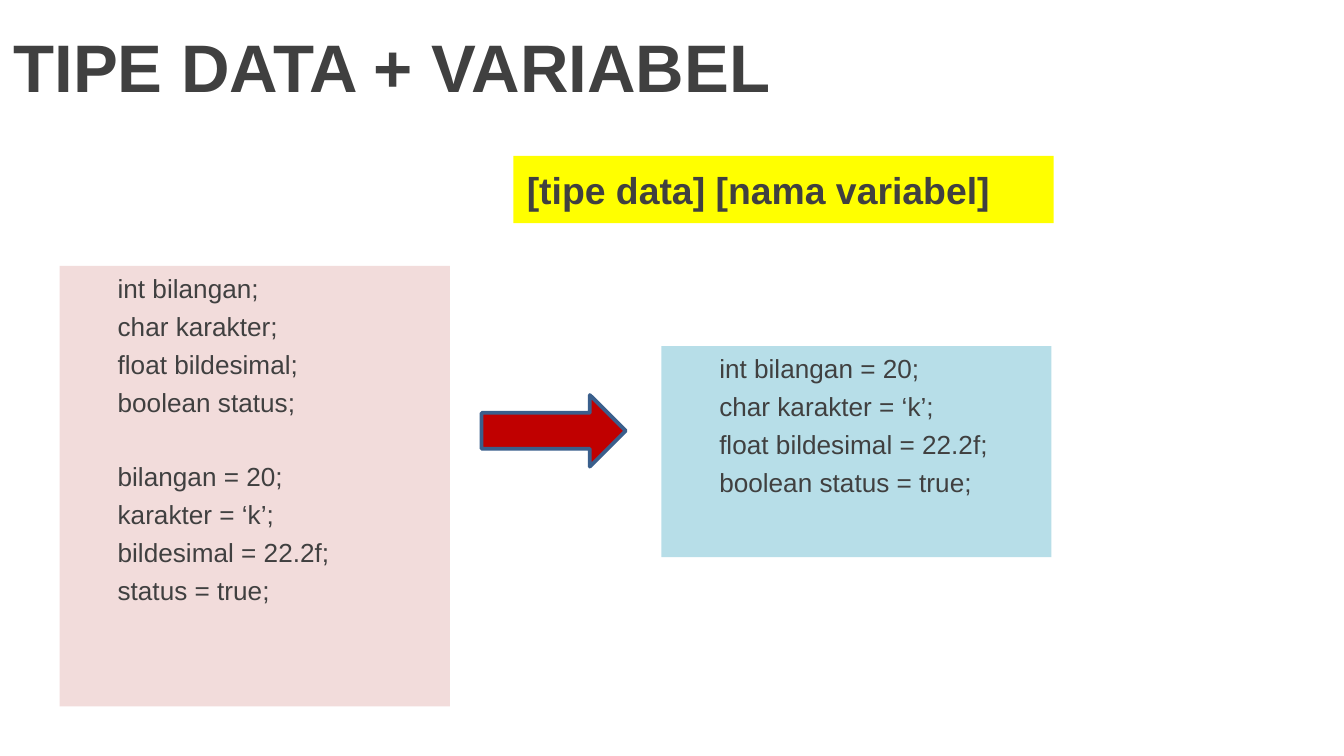
import pptx
import pptx.util
import pptx.dml.color
import pptx.enum.shapes
import pptx.enum.text
import pptx.oxml.ns
from lxml import etree

Pt = pptx.util.Pt
Color = pptx.dml.color.RGBColor.from_string
Shapes = pptx.enum.shapes.MSO_SHAPE
Anchor = pptx.enum.text.MSO_ANCHOR

# Content: each code box is a list of line groups
TITLE = "TIPE DATA + VARIABEL"
SYNTAX = "[tipe data] [nama variabel]"
SEPARATE = [
    ["int bilangan;", "char karakter;", "float bildesimal;", "boolean status;"],
    ["bilangan = 20;", "karakter = ‘k’;", "bildesimal = 22.2f;", "status = true;"],
]
COMBINED = [
    ["int bilangan = 20;", "char karakter = ‘k’;", "float bildesimal = 22.2f;",
     "boolean status = true;"],
]

# Theme
THEME = {
    "font": "Arial", "text": "404040",
    "yellow": "FFFF00", "pink": "F2DCDB", "blue": "B7DEE8",
    "arrow": "C00000", "outline": "3A5F8C",
    "title_size": 36, "syntax_size": 20, "code_size": 14,
    "line_gap": 3.5, "group_gap": 23.1,
}

# Places: left, top, width, height in points
PLACES = {
    "title": (0, 0, 720, 70),
    "syntax": (275, 83.5, 289.5, 36),
    "separate": (32, 142.5, 209, 236),
    "combined": (354.3, 185.5, 209, 113),
    "arrow": (258, 211.6, 77.2, 38.4),
}
CODE_INSET = 31


def place(shape, name, fill=None):
    for side, value in zip(("left", "top", "width", "height"), PLACES[name]):
        setattr(shape, side, Pt(value))
    if fill:
        shape.fill.solid()
        shape.fill.fore_color.rgb = Color(THEME[fill])


def write(shape, groups, size, bold=False, anchor=Anchor.TOP, inset=7.2):
    frame = shape.text_frame
    frame_format = {
        "word_wrap": True, "auto_size": pptx.enum.text.MSO_AUTO_SIZE.NONE,
        "vertical_anchor": anchor, "margin_left": Pt(inset),
        "margin_right": Pt(7.2), "margin_top": Pt(3.6), "margin_bottom": Pt(3.6),
    }
    for key, value in frame_format.items():
        setattr(frame, key, value)
    font_format = {"name": THEME["font"], "size": Pt(THEME[size]), "bold": bold}
    first = True
    for group in groups:
        for index, line in enumerate(group):
            paragraph = frame.paragraphs[0] if first else frame.add_paragraph()
            gap = 0 if first else THEME["line_gap" if index else "group_gap"]
            first = False
            # No bullet and no hanging indent
            properties = paragraph._p.get_or_add_pPr()
            properties.set("marL", "0")
            properties.set("indent", "0")
            etree.SubElement(properties, pptx.oxml.ns.qn("a:buNone"))
            paragraph.alignment = pptx.enum.text.PP_ALIGN.LEFT
            paragraph.space_before = Pt(gap)
            run = paragraph.add_run()
            run.text = line
            for key, value in font_format.items():
                setattr(run.font, key, value)
            run.font.color.rgb = Color(THEME["text"])


def add_plain_shape(slide, kind, name, fill):
    shape = slide.shapes.add_shape(kind, *map(Pt, PLACES[name]))
    shape.shadow.inherit = False
    place(shape, name, fill)
    shape.line.fill.background()
    return shape


def main():
    presentation = pptx.Presentation()
    presentation.slide_width = Pt(720)
    presentation.slide_height = Pt(405)
    slide = presentation.slides.add_slide(presentation.slide_layouts[3])
    title, syntax, separate = slide.placeholders

    # Title and syntax banner
    place(title, "title")
    write(title, [[TITLE]], "title_size", bold=True, anchor=Anchor.MIDDLE)
    place(syntax, "syntax", "yellow")
    write(syntax, [[SYNTAX]], "syntax_size", bold=True, anchor=Anchor.MIDDLE)

    # Code boxes
    place(separate, "separate", "pink")
    write(separate, SEPARATE, "code_size", inset=CODE_INSET)
    combined = add_plain_shape(slide, Shapes.RECTANGLE, "combined", "blue")
    write(combined, COMBINED, "code_size", inset=CODE_INSET)

    # Arrow from separate to combined declarations
    arrow = add_plain_shape(slide, Shapes.RIGHT_ARROW, "arrow", "arrow")
    arrow.line.color.rgb = Color(THEME["outline"])
    arrow.line.width = Pt(2)

    presentation.save("out.pptx")


if __name__ == "__main__":
    main()
